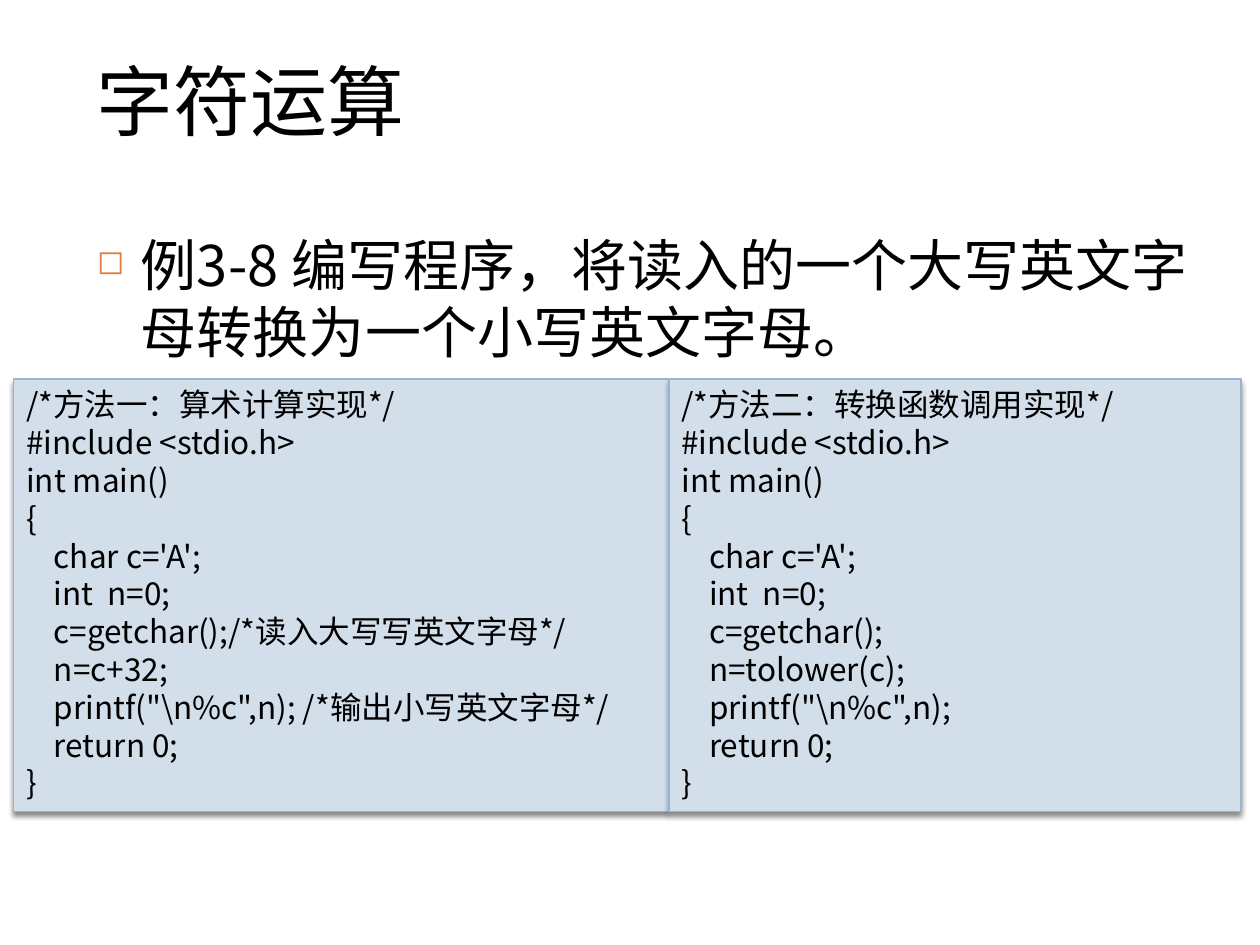
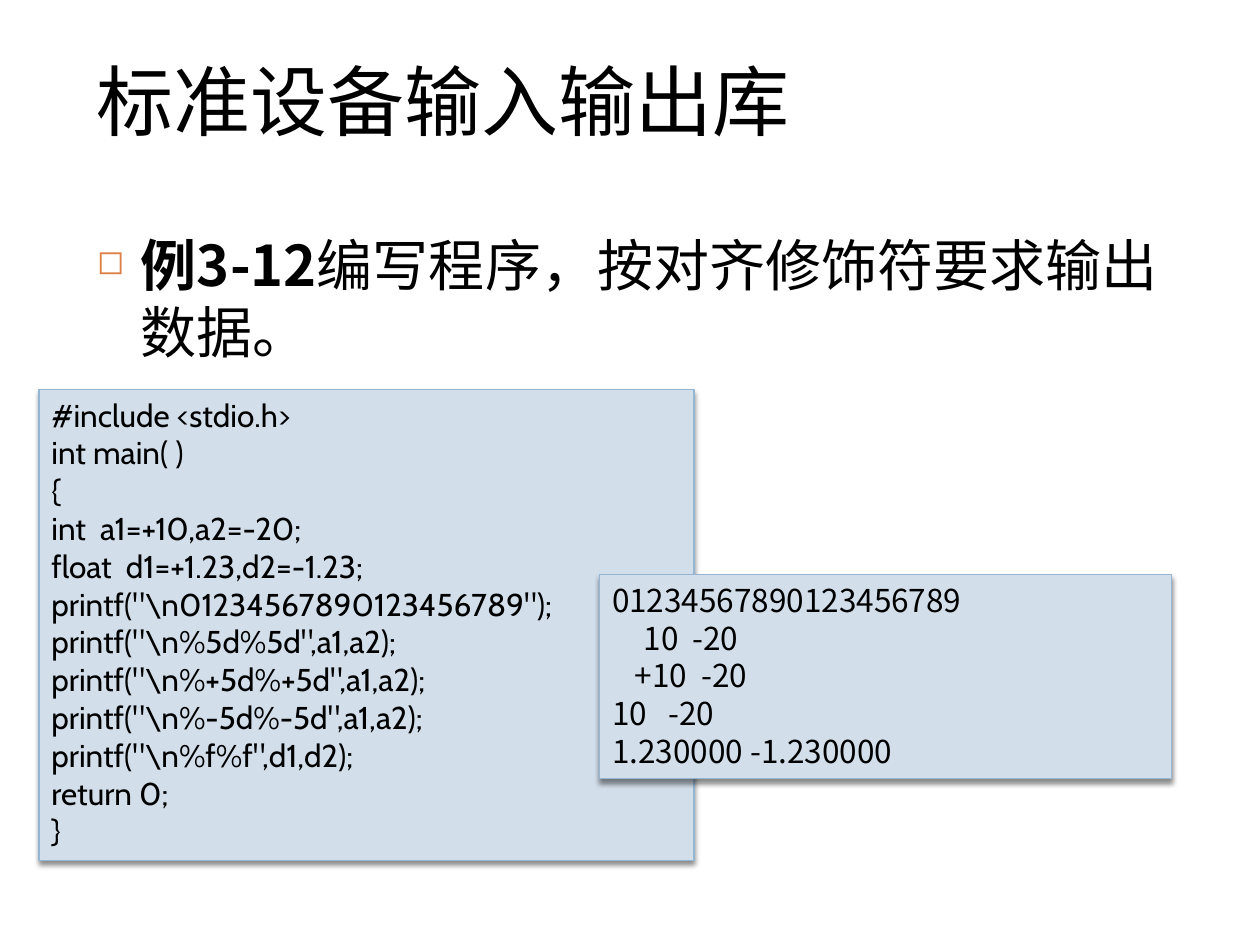
from dataclasses import dataclass

from lxml.etree import SubElement
from pptx import Presentation
from pptx.dml.color import RGBColor
from pptx.enum.shapes import MSO_SHAPE
from pptx.enum.text import MSO_ANCHOR, MSO_AUTO_SIZE, PP_ALIGN
from pptx.oxml.ns import qn
from pptx.util import Inches, Pt

MAIN_FONT = "Noto Sans CJK SC"
CODE_FONT = "Cabin"
BLACK = "000000"
PANEL_FILL = "D2DEEA"
PANEL_LINE = "94B6D2"
BULLET_COLOR = "DD8047"
CODE_INDENT = 0.22


@dataclass
class Line:
    text: str
    indent: float = 0


@dataclass
class Panel:
    left: float
    top: float
    width: float
    height: float
    lines: list[Line]
    font: str = MAIN_FONT
    align: PP_ALIGN = PP_ALIGN.LEFT


@dataclass
class Page:
    title: str
    label: str
    task: str
    label_bold: bool
    panels: list[Panel]


def color(value: str) -> RGBColor:
    return RGBColor.from_string(value)


def set_font(paragraph, size: float, name: str = MAIN_FONT) -> None:
    font = paragraph.font
    font.size = Pt(size)
    font.color.rgb = color(BLACK)
    font.name = name
    properties = paragraph._p.pPr.find(qn("a:defRPr"))
    SubElement(properties, qn("a:ea"), typeface=MAIN_FONT)


def set_indent(paragraph, margin: float, first_line: float) -> None:
    properties = paragraph._p.get_or_add_pPr()
    properties.set("marL", str(Inches(margin)))
    properties.set("indent", str(Inches(first_line)))


def add_bullet(paragraph) -> None:
    properties = paragraph._p.get_or_add_pPr()
    bullet_color = SubElement(properties, qn("a:buClr"))
    SubElement(bullet_color, qn("a:srgbClr"), val=BULLET_COLOR)
    SubElement(properties, qn("a:buSzPct"), val="60000")
    SubElement(properties, qn("a:buChar"), char="◻")


def add_shadow(shape) -> None:
    shape.shadow.inherit = False
    effects = shape._element.spPr.find(qn("a:effectLst"))
    shadow = SubElement(effects, qn("a:outerShdw"), blurRad=str(Pt(3)),
                        dist=str(Pt(2.4)), dir="5400000", rotWithShape="0")
    shade = SubElement(shadow, qn("a:srgbClr"), val=BLACK)
    SubElement(shade, qn("a:alpha"), val="45000")


def add_text_frame(slide, top: float, height: float):
    box = slide.shapes.add_textbox(Inches(0.67), Inches(top), Inches(8.92), Inches(height))
    box.text_frame.word_wrap = True
    return box.text_frame


def draw_title(slide, title: str) -> None:
    frame = add_text_frame(slide, 0.25, 1.08)
    frame.vertical_anchor = MSO_ANCHOR.MIDDLE
    paragraph = frame.paragraphs[0]
    paragraph.add_run().text = title
    set_font(paragraph, 44)


def draw_task(slide, page: Page) -> None:
    paragraph = add_text_frame(slide, 1.78, 4.92).paragraphs[0]
    for text, bold in ((page.label, page.label_bold), (page.task, False)):
        span = paragraph.add_run()
        span.text = text
        span.font.bold = bold
    paragraph.space_before = Pt(12)
    paragraph.space_after = Pt(6)
    set_indent(paragraph, 0.35, -0.35)
    add_bullet(paragraph)
    set_font(paragraph, 32)


def draw_panel(slide, panel: Panel) -> None:
    box = slide.shapes.add_shape(
        MSO_SHAPE.RECTANGLE, Inches(panel.left), Inches(panel.top),
        Inches(panel.width), Inches(panel.height))
    box.fill.solid()
    box.fill.fore_color.rgb = color(PANEL_FILL)
    box.line.color.rgb = color(PANEL_LINE)
    box.line.width = Pt(0.79)
    add_shadow(box)
    frame = box.text_frame
    frame.word_wrap = True
    frame.auto_size = MSO_AUTO_SIZE.SHAPE_TO_FIT_TEXT
    frame.vertical_anchor = MSO_ANCHOR.TOP
    for number, line in enumerate(panel.lines):
        paragraph = frame.add_paragraph() if number else frame.paragraphs[0]
        paragraph.add_run().text = line.text
        paragraph.alignment = panel.align
        set_indent(paragraph, 0, line.indent)
        set_font(paragraph, 18, panel.font)


def program(statements: list[str], comment: str = "", main: str = "int main()",
            indent: float = 0) -> list[Line]:
    """Wrap the statements in the include line and the main function."""
    opening = [comment] if comment else []
    opening += ["#include <stdio.h>", main, "{"]
    body = [*statements, "return 0;"]
    return [*map(Line, opening), *(Line(text, indent) for text in body), Line("}")]


def case_program(comment: str, steps: list[str]) -> list[Line]:
    return program(["char c='A';", "int  n=0;", *steps], comment, indent=CODE_INDENT)


ARITHMETIC = case_program("/*方法一：算术计算实现*/", [
    "c=getchar();/*读入大写写英文字母*/",
    "n=c+32;",
    r'printf("\n%c",n); /*输出小写英文字母*/',
])
FUNCTION_CALL = case_program("/*方法二：转换函数调用实现*/", [
    "c=getchar();",
    "n=tolower(c);",
    r'printf("\n%c",n);',
])
ALIGNMENT = program([
    "int  a1=+10,a2=-20;",
    "float  d1=+1.23,d2=-1.23;",
    r'printf("\n01234567890123456789");',
    *(rf'printf("\n%{flag}5d%{flag}5d",a1,a2);' for flag in ("", "+", "-")),
    r'printf("\n%f%f",d1,d2);',
], main="int main( )")
OUTPUT = [
    Line("01234567890123456789"),
    Line("10  -20", 0.25),
    Line("+10  -20", 0.18),
    Line("10   -20"),
    Line("1.230000 -1.230000"),
]

PAGES = [
    Page("字符运算", "例3-8 ", "编写程序，将读入的一个大写英文字母转换为一个小写英文字母。", False, [
        Panel(0.11, 3.01, 5.2, 3.43, ARITHMETIC),
        Panel(5.31, 3.01, 4.54, 3.43, FUNCTION_CALL),
    ]),
    Page("标准设备输入输出库", "例3-12", "编写程序，按对齐修饰符要求输出数据。", True, [
        Panel(0.31, 3.09, 5.2, 3.74, ALIGNMENT, font=CODE_FONT),
        Panel(4.76, 4.56, 4.54, 1.62, OUTPUT, align=PP_ALIGN.JUSTIFY),
    ]),
]


def main() -> None:
    deck = Presentation()
    deck.slide_width = Inches(10)
    deck.slide_height = Inches(7.5)
    for page in PAGES:
        slide = deck.slides.add_slide(deck.slide_layouts[6])
        draw_title(slide, page.title)
        draw_task(slide, page)
        for panel in page.panels:
            draw_panel(slide, panel)
    deck.save("out.pptx")


if __name__ == "__main__":
    main()
